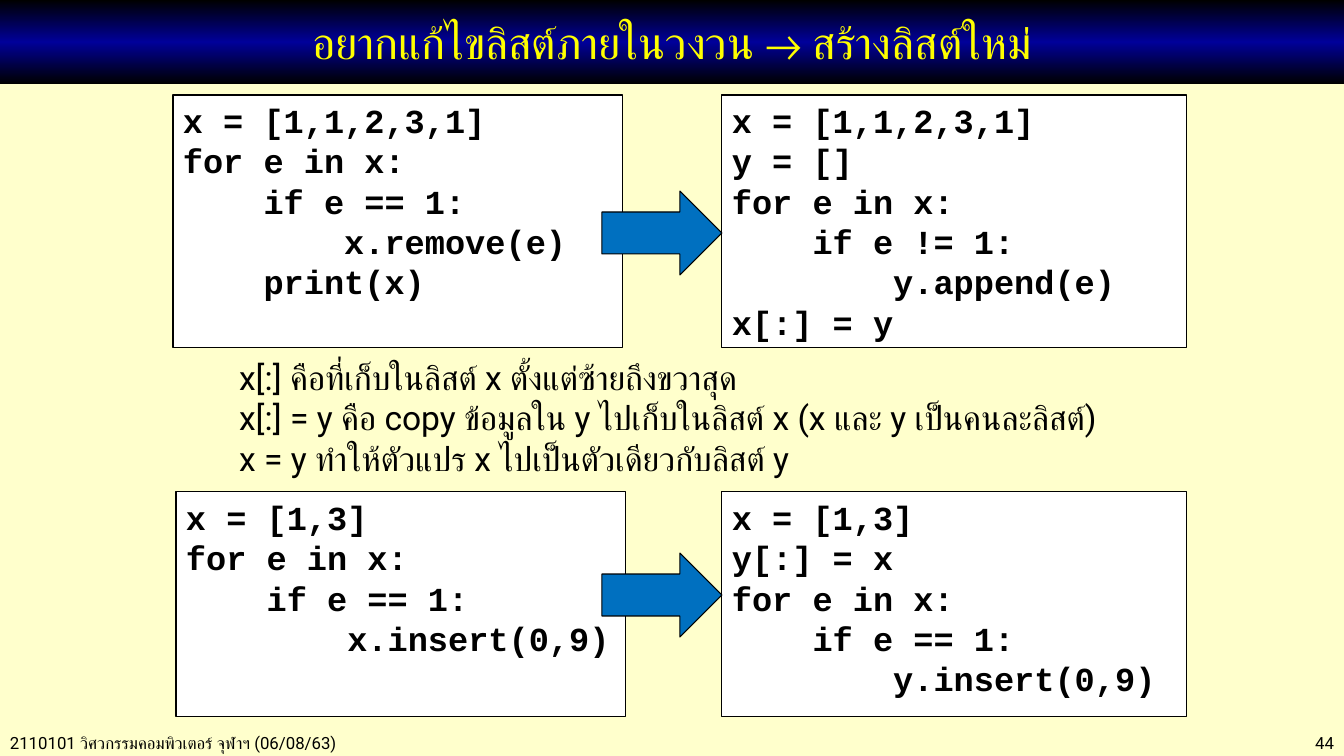
import pptx
import pptx.util
import pptx.dml.color
import pptx.enum.shapes
import pptx.enum.text
import pptx.oxml
import pptx.oxml.ns

# Content
TITLE = "อยากแก้ไขลิสต์ภายในวงวน → สร้างลิสต์ใหม่"
NOTES = [
    "x[:] คือที่เก็บในลิสต์ x ตั้งแต่ซ้ายถึงขวาสุด",
    "x[:] = y คือ copy ข้อมูลใน y ไปเก็บในลิสต์ x (x และ y เป็นคนละลิสต์)",
    "x = y ทำให้ตัวแปร x ไปเป็นตัวเดียวกับลิสต์ y",
]
FOOTER = "2110101 วิศวกรรมคอมพิวเตอร์ จุฬาฯ (06/08/63)"
PAGE = "44"
# Each row: top, height, left edge of the first box, code before, code after
ROWS = [
    (95, 253, 173,
     ["x = [1,1,2,3,1]", "for e in x:", "    if e == 1:", "        x.remove(e)",
      "    print(x)"],
     ["x = [1,1,2,3,1]", "y = []", "for e in x:", "    if e != 1:",
      "        y.append(e)", "x[:] = y"]),
    (492, 225, 176,
     ["x = [1,3]", "for e in x:", "    if e == 1:", "        x.insert(0,9)"],
     ["x = [1,3]", "y[:] = x", "for e in x:", "    if e == 1:",
      "        y.insert(0,9)"]),
]

# Theme and layout, lengths in px
THEME = {
    "page": "FFFFCC", "box": "FFFFFF", "arrow": "0070C0", "line": "000000",
    "band": [(0, "000000"), (50, "000099"), (100, "000000")],
    "title": {"name": "Calibri", "size": 32, "bold": False, "color": "FFFF00"},
    "code": {"name": "Courier New", "size": 24, "bold": True, "color": "000000"},
    "notes": {"name": "Roboto", "size": 24, "bold": False, "color": "000000"},
    "footer": {"name": "Roboto", "size": 12, "bold": False, "color": "000000"},
}
W, H = 1344, 756
BEFORE_W, AFTER_X, AFTER_W = 450, 722, 465
ARROW_W, ARROW_H = 120, 84
ARROW_DROP = (96, 61)
PITCH = 28.8
SCALE = 914400 / 100.8
ALIGN = pptx.enum.text.PP_ALIGN
ANCHOR = pptx.enum.text.MSO_ANCHOR
SHAPE = pptx.enum.shapes.MSO_SHAPE


def px(*lengths):
    return [pptx.util.Emu(round(n * SCALE)) for n in lengths]


def rgb(code):
    return pptx.dml.color.RGBColor.from_string(code)


def place(sp, *box):
    for name, value in zip(("left", "top", "width", "height"), px(*box)):
        setattr(sp, name, value)


def write(sp, lines, style, align=ALIGN.LEFT, anchor=ANCHOR.TOP, pitch=None):
    tf = sp.text_frame
    frame = {"word_wrap": True, "vertical_anchor": anchor,
             "auto_size": pptx.enum.text.MSO_AUTO_SIZE.NONE}
    para = {"alignment": align, "space_before": pptx.util.Pt(0),
            "line_spacing": pptx.util.Pt(pitch) if pitch else 1.0}
    font = {"name": style["name"], "size": pptx.util.Pt(style["size"]),
            "bold": style["bold"]}
    for key, value in frame.items():
        setattr(tf, key, value)
    for i, line in enumerate(lines):
        p = tf.add_paragraph() if i else tf.paragraphs[0]
        r = p.add_run()
        r.text = line
        for target, values in ((p, para), (r.font, font)):
            for key, value in values.items():
                setattr(target, key, value)
        r.font.color.rgb = rgb(style["color"])


def add_block(s, kind, fill, *box):
    sp = s.shapes.add_shape(kind, *px(*box))
    sp.shadow.inherit = False
    sp.fill.solid()
    sp.fill.fore_color.rgb = rgb(fill)
    sp.line.color.rgb = rgb(THEME["line"])
    sp.line.width = pptx.util.Pt(0.75)
    return sp


def fill_band(sp, stops):
    gs = "".join(f'<a:gs pos="{pos * 1000}"><a:srgbClr val="{c}"/></a:gs>'
                 for pos, c in stops)
    sp.element.spPr.append(pptx.oxml.parse_xml(
        f'<a:gradFill {pptx.oxml.ns.nsdecls("a")} rotWithShape="1">'
        f'<a:gsLst>{gs}</a:gsLst><a:lin ang="5400000" scaled="0"/></a:gradFill>'))


def drop_bullets(sp):
    for p in sp.text_frame.paragraphs:
        pPr = p._p.get_or_add_pPr()
        pPr.set("marL", "0")
        pPr.set("indent", "0")
        pPr.append(pptx.oxml.parse_xml(
            f'<a:buNone {pptx.oxml.ns.nsdecls("a")}/>'))


def main():
    prs = pptx.Presentation()
    prs.slide_width, prs.slide_height = px(W, H)
    s = prs.slides.add_slide(prs.slide_layouts[1])
    s.background.fill.solid()
    s.background.fill.fore_color.rgb = rgb(THEME["page"])

    # Title band
    title, notes = s.shapes.title, s.placeholders[1]
    place(title, 0, 0, W, 84)
    fill_band(title, THEME["band"])
    write(title, [TITLE], THEME["title"], ALIGN.CENTER, ANCHOR.MIDDLE)

    # Code boxes, then the arrows over them
    for top, height, left, before, after in ROWS:
        for x, width, code in ((left, BEFORE_W, before), (AFTER_X, AFTER_W, after)):
            sp = add_block(s, SHAPE.RECTANGLE, THEME["box"], x, top, width, height)
            write(sp, code, THEME["code"], pitch=PITCH)
    for row, drop in zip(ROWS, ARROW_DROP):
        add_block(s, SHAPE.RIGHT_ARROW, THEME["arrow"],
                  AFTER_X - ARROW_W, row[0] + drop, ARROW_W, ARROW_H)

    # Explanation
    place(notes, 229, 352, 1011, 132)
    write(notes, NOTES, THEME["notes"], pitch=PITCH)
    drop_bullets(notes)

    # Footer
    for text, x, width, align in ((FOOTER, 0, 524, ALIGN.LEFT),
                                  (PAGE, W - 185, 185, ALIGN.RIGHT)):
        sp = s.shapes.add_textbox(*px(x, 728, width, 30))
        write(sp, [text], THEME["footer"], align)

    prs.save("out.pptx")


if __name__ == "__main__":
    main()
